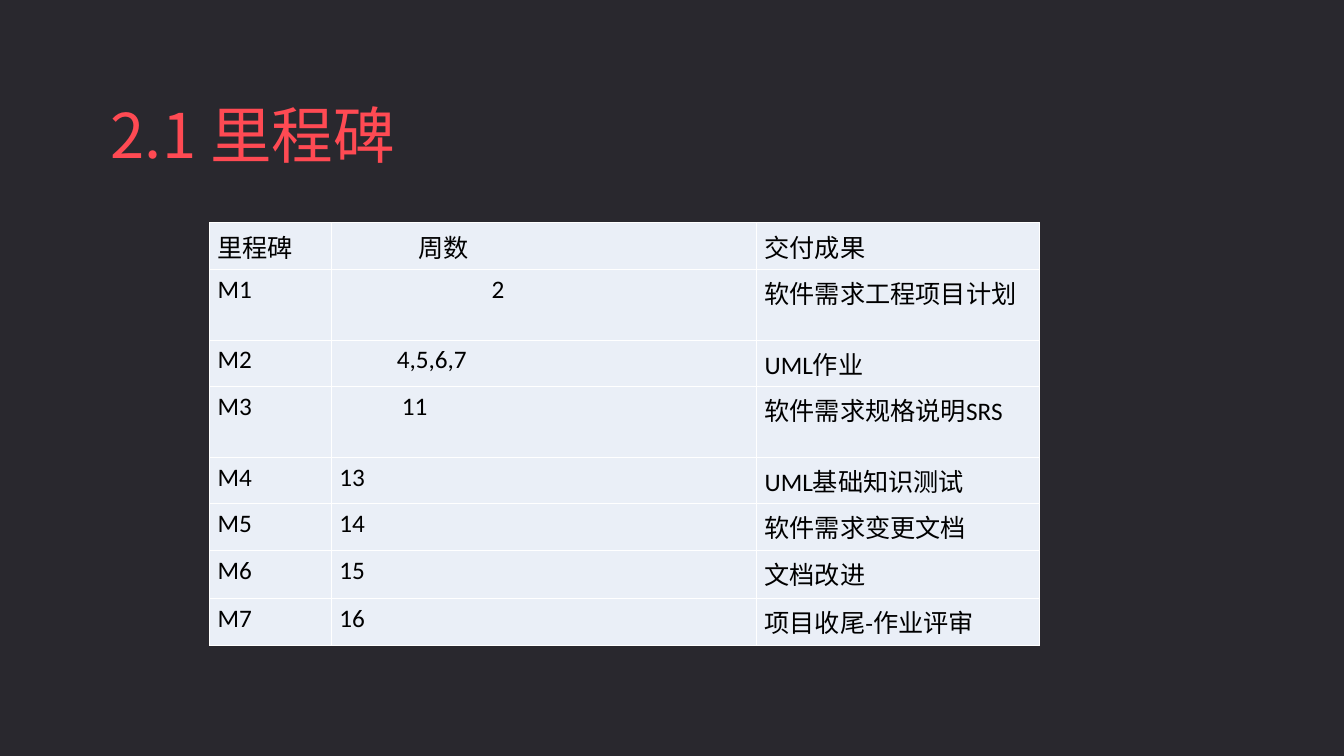
from lxml.etree import SubElement
from pptx import Presentation
from pptx.dml.color import RGBColor
from pptx.enum.text import MSO_ANCHOR as ANCHOR, MSO_AUTO_SIZE as AUTO, PP_ALIGN as ALIGN
from pptx.oxml.ns import qn
from pptx.util import Inches, Pt

DARK = RGBColor(0x29, 0x28, 0x2E)
RED = RGBColor(0xFF, 0x4A, 0x53)
PALE = RGBColor(0xEA, 0xEF, 0xF7)
BLACK = RGBColor(0, 0, 0)
WHITE = RGBColor(0xFF, 0xFF, 0xFF)
CJK = "Noto Sans CJK SC"

COLUMNS = [1.21, 4.22, 2.81]
HEIGHTS = [0.43, 0.7, 0.35, 0.7, 0.41, 0.43, 0.48, 0.36]
MILESTONES = [
    ("里程碑", "周数", "交付成果"),
    ("M1", "2", "软件需求工程项目计划"),
    ("M2", "4,5,6,7", "UML作业"),
    ("M3", "11", "软件需求规格说明SRS"),
    ("M4", "13", "UML基础知识测试"),
    ("M5", "14", "软件需求变更文档"),
    ("M6", "15", "文档改进"),
    ("M7", "16", "项目收尾-作业评审"),
]
WEEK_INDENTS = {"周数": 0.78, "2": 1.51, "4,5,6,7": 0.57, "11": 0.62}


class Deck:
    """Holds the presentation, its style and the current slide."""

    def __init__(self):
        self.prs = Presentation()
        self.prs.slide_width, self.prs.slide_height = Inches(13.34), Inches(7.5)
        self.s = self.prs.slides.add_slide(self.prs.slide_layouts[5])
        self.s.background.fill.solid()
        self.s.background.fill.fore_color.rgb = DARK

    def style(self, p, size, font, color, align):
        p.alignment = align
        p.font.size, p.font.name, p.font.color.rgb = Pt(size), font, color
        for r in p.runs:
            SubElement(r.font._element, qn("a:ea")).set("typeface", CJK)

    def title(self, text, left, top, width, height):
        sp = self.s.shapes.title
        sp.left, sp.top = Inches(left), Inches(top)
        sp.width, sp.height = Inches(width), Inches(height)
        tf = sp.text_frame
        tf.text = text
        tf.auto_size, tf.vertical_anchor = AUTO.NONE, ANCHOR.MIDDLE
        self.style(tf.paragraphs[0], 44, CJK, RED, ALIGN.LEFT)

    def borders(self, cell):
        tc_pr = cell._tc.get_or_add_tcPr()
        for side in ("lnL", "lnR", "lnT", "lnB"):
            ln = SubElement(tc_pr, qn(f"a:{side}"), w=str(Pt(0.45)))
            fill = SubElement(ln, qn("a:solidFill"))
            SubElement(fill, qn("a:srgbClr"), val=str(WHITE))

    def cell(self, cell, text, indent):
        cell.margin_left = cell.margin_right = Inches(0.08)
        self.borders(cell)
        cell.fill.solid()
        cell.fill.fore_color.rgb = PALE
        cell.text = text
        p = cell.text_frame.paragraphs[0]
        self.style(p, 18, "Calibri", BLACK, ALIGN.JUSTIFY)
        if indent:
            p._p.get_or_add_pPr().set("marL", str(Inches(indent)))

    def table(self, rows, left, top, widths, heights, indents):
        frame = self.s.shapes.add_table(
            len(rows), len(widths), Inches(left), Inches(top),
            Inches(sum(widths)), Inches(sum(heights)))
        table = frame.table
        for column, width in zip(table.columns, widths):
            column.width = Inches(width)
        for row, height, texts in zip(table.rows, heights, rows):
            row.height = Inches(height)
            for cell, text in zip(row.cells, texts):
                self.cell(cell, text, indents.get(text, 0))


def main():
    deck = Deck()
    deck.title("2.1 里程碑", 1, 0.91, 4.62, 0.84)
    deck.table(MILESTONES, 2.08, 2.21, COLUMNS, HEIGHTS, WEEK_INDENTS)
    deck.prs.save("out.pptx")


if __name__ == "__main__":
    main()
